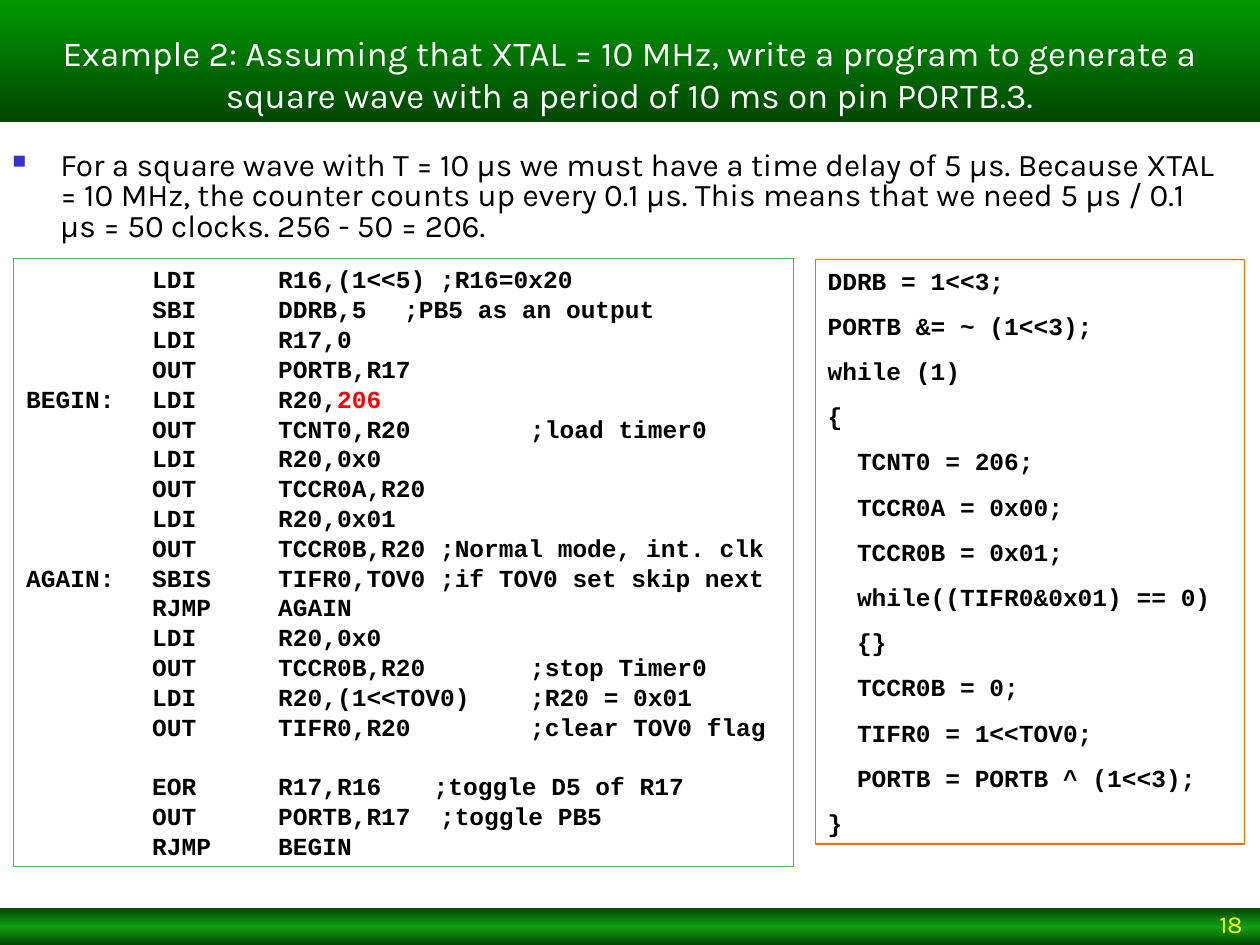
from dataclasses import dataclass

from pptx import Presentation
from pptx import util as u
from pptx.dml.color import RGBColor
from pptx.enum import shapes, text
from pptx.oxml import ns
from lxml import etree


@dataclass(frozen=True)
class Theme:
    body_font: str = "Karla"
    code_font: str = "Courier New"
    title_size: float = 20
    body_size: float = 18
    code_size: float = 14
    number_size: float = 14
    black: str = "000000"
    white: str = "FFFFFF"
    yellow: str = "FFFB0B"
    red: str = "FF0000"
    bullet: str = "3333CC"
    bright_green: str = "009900"
    dark_green: str = "004600"
    assembly_border: str = "0ADA3C"
    c_border: str = "FA6D04"


TITLE = ("Example 2: Assuming that XTAL = 10 MHz, write a program to generate a "
         "square wave with a period of 10 ms on pin PORTB.3.")
EXPLANATION = ("For a square wave with T = 10 µs we must have a time delay of 5 µs. "
               "Because XTAL = 10 MHz, the counter counts up every 0.1 µs. This means "
               "that we need 5 µs / 0.1 µs = 50 clocks. 256 - 50 = 206.")
ASSEMBLY = [
    "\tLDI\tR16,(1<<5) ;R16=0x20",
    "\tSBI\tDDRB,5\t;PB5 as an output",
    "\tLDI\tR17,0",
    "\tOUT\tPORTB,R17",
    "BEGIN:\tLDI\tR20,206",
    "\tOUT\tTCNT0,R20\t;load timer0",
    "\tLDI\tR20,0x0",
    "\tOUT\tTCCR0A,R20",
    "\tLDI\tR20,0x01",
    "\tOUT\tTCCR0B,R20 ;Normal mode, int. clk",
    "AGAIN:\tSBIS\tTIFR0,TOV0 ;if TOV0 set skip next",
    "\tRJMP\tAGAIN",
    "\tLDI\tR20,0x0",
    "\tOUT\tTCCR0B,R20\t;stop Timer0",
    "\tLDI\tR20,(1<<TOV0)\t;R20 = 0x01",
    "\tOUT\tTIFR0,R20\t;clear TOV0 flag",
    "\t",
    "\tEOR\tR17,R16\t  ;toggle D5 of R17",
    "\tOUT\tPORTB,R17  ;toggle PB5",
    "\tRJMP\tBEGIN",
]
C_PROGRAM = [
    "DDRB = 1<<3;",
    "PORTB &= ~ (1<<3);",
    "while (1)",
    "{",
    "  TCNT0 = 206;",
    "  TCCR0A = 0x00;",
    "  TCCR0B = 0x01;",
    "  while((TIFR0&0x01) == 0)",
    "  {}",
    "  TCCR0B = 0;",
    "  TIFR0 = 1<<TOV0;",
    "  PORTB = PORTB ^ (1<<3);",
    "}",
]


def set_all(target, values):
    for name, value in values.items():
        setattr(target, name, value)


def add_xml(parent, tag, **attributes):
    return etree.SubElement(parent, ns.qn(tag), attributes)


class SlideBuilder:
    def __init__(self, slide, theme):
        self.slide = slide
        self.theme = theme

    def rectangle(self, box):
        shape = self.slide.shapes.add_shape(
            shapes.MSO_SHAPE.RECTANGLE, *map(u.Inches, box))
        shape.shadow.inherit = False
        return shape

    def gradient_bar(self, box, stops):
        """Add a borderless bar shaded downwards by (percent, colour, opacity) stops."""
        bar = self.rectangle(box)
        bar.line.fill.background()
        bar.fill.gradient()
        bar.fill.gradient_angle = 270
        stop_list = bar._element.spPr.find(ns.qn("a:gradFill")).find(ns.qn("a:gsLst"))
        for old_stop in list(stop_list):
            stop_list.remove(old_stop)
        for percent, colour, opacity in stops:
            stop = add_xml(stop_list, "a:gs", pos=str(percent * 1000))
            rgb = add_xml(stop, "a:srgbClr", val=colour)
            if opacity < 100:
                add_xml(rgb, "a:alpha", val=str(opacity * 1000))
        return bar

    def text_box(self, box):
        return self.slide.shapes.add_textbox(*map(u.Inches, box))

    def frame(self, shape, **values):
        set_all(shape.text_frame, {"word_wrap": True, **values})
        return shape.text_frame

    def run(self, paragraph, words, font, size, colour, bold=False):
        run = paragraph.add_run()
        run.text = words
        set_all(run.font, {"name": font, "size": u.Pt(size), "bold": bold})
        run.font.color.rgb = RGBColor.from_string(colour)

    def label(self, shape, words, size, colour, alignment, anchor):
        paragraph = self.frame(shape, vertical_anchor=anchor).paragraphs[0]
        paragraph.alignment = alignment
        self.run(paragraph, words, self.theme.body_font, size, colour)
        return paragraph

    def bullet(self, box, words):
        paragraph = self.label(self.text_box(box), words, self.theme.body_size,
                               self.theme.black, text.PP_ALIGN.LEFT,
                               text.MSO_ANCHOR.TOP)
        paragraph.line_spacing = 0.8
        properties = paragraph._p.get_or_add_pPr()
        indent = u.Inches(0.38)
        properties.set("marL", str(indent))
        properties.set("indent", str(-indent))
        bullet_colour = add_xml(properties, "a:buClr")
        add_xml(bullet_colour, "a:srgbClr", val=self.theme.bullet)
        add_xml(properties, "a:buSzPct", val="60000")
        add_xml(properties, "a:buChar", char="■")

    def code(self, box, lines, border, space_before, highlight=None):
        """Add a bordered listing with tab stops at every inch."""
        shape = self.rectangle(box)
        shape.fill.background()
        shape.line.color.rgb = RGBColor.from_string(border)
        shape.line.width = u.Pt(0.75)
        frame = self.frame(shape, vertical_anchor=text.MSO_ANCHOR.TOP,
                           auto_size=text.MSO_AUTO_SIZE.SHAPE_TO_FIT_TEXT)
        for index, line in enumerate(lines):
            paragraph = frame.add_paragraph() if index else frame.paragraphs[0]
            set_all(paragraph, {
                "alignment": text.PP_ALIGN.LEFT,
                "space_before": u.Pt(space_before if index else 0),
                "space_after": u.Pt(0.1),
            })
            tabs = add_xml(paragraph._p.get_or_add_pPr(), "a:tabLst")
            for inch in range(1, 8):
                add_xml(tabs, "a:tab", pos=str(u.Inches(inch)), algn="l")
            parts = line.partition(highlight) if highlight else (line,)
            for part in filter(None, parts):
                colour = self.theme.red if part == highlight else self.theme.black
                self.run(paragraph, part, self.theme.code_font,
                         self.theme.code_size, colour, bold=True)


def main():
    presentation = Presentation()
    set_all(presentation, {"slide_width": u.Inches(10), "slide_height": u.Inches(7.5)})
    theme = Theme()
    builder = SlideBuilder(
        presentation.slides.add_slide(presentation.slide_layouts[6]), theme)

    builder.gradient_bar((0, 7.21, 10, 0.29), [
        (0, theme.dark_green, 100), (50, theme.bright_green, 93),
        (100, theme.dark_green, 100)])
    title_bar = builder.gradient_bar((0, 0, 10, 0.97), [
        (0, theme.bright_green, 100), (100, theme.dark_green, 100)])
    builder.label(title_bar, TITLE, theme.title_size, theme.white,
                  text.PP_ALIGN.CENTER, text.MSO_ANCHOR.BOTTOM)
    builder.bullet((0, 1.16, 9.79, 0.84), EXPLANATION)
    builder.code((0.11, 2.05, 6.19, 4.83), ASSEMBLY, theme.assembly_border, 0.1,
                 highlight="206")
    builder.code((6.47, 2.06, 3.41, 4.64), C_PROGRAM, theme.c_border, 8.9)
    builder.label(builder.text_box((7.83, 7.22, 2.13, 0.28)), "18",
                  theme.number_size, theme.yellow,
                  text.PP_ALIGN.RIGHT, text.MSO_ANCHOR.BOTTOM)
    presentation.save("out.pptx")


if __name__ == "__main__":
    main()
